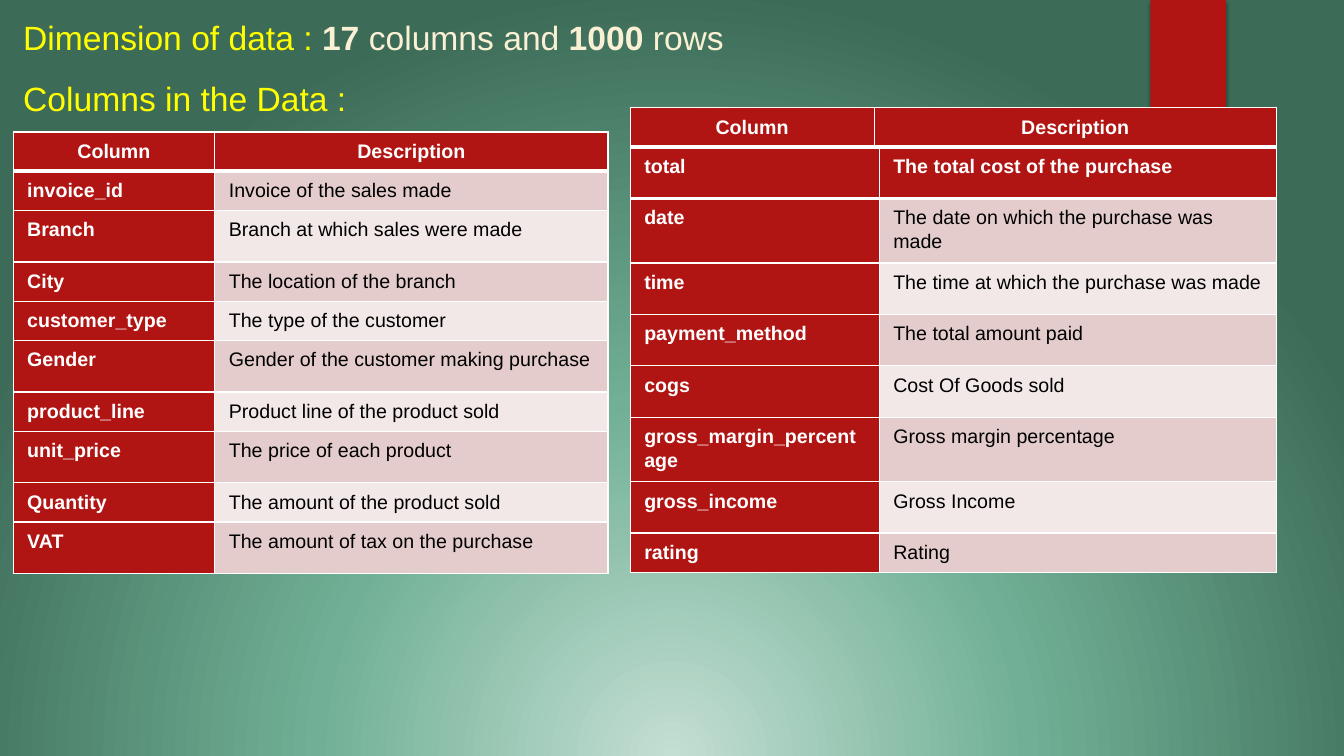
"""Build the slide that lists the dimensions and columns of a sales data set."""
from lxml import etree
from pptx import Presentation
from pptx.dml.color import RGBColor
from pptx.enum.shapes import MSO_SHAPE
from pptx.enum.text import MSO_ANCHOR, MSO_AUTO_SIZE, PP_ALIGN
from pptx.oxml.ns import qn
from pptx.util import Inches, Pt

ELLIPSE, RECTANGLE = MSO_SHAPE.OVAL, MSO_SHAPE.RECTANGLE
TOP, FIXED = MSO_ANCHOR.TOP, MSO_AUTO_SIZE.NONE
LEFT, CENTER = PP_ALIGN.LEFT, PP_ALIGN.CENTER

RED = RGBColor(0xB0, 0x15, 0x13)
WHITE = RGBColor(0xFF, 0xFF, 0xFF)
BLACK = RGBColor(0x00, 0x00, 0x00)
YELLOW = RGBColor(0xFF, 0xFF, 0x00)
CREAM = RGBColor(0xFA, 0xF1, 0xD4)
TEAL = RGBColor(0x50, 0xB9, 0xC1)
MINT = RGBColor(0xC3, 0xDE, 0xD3)
GREEN = RGBColor(0x71, 0xB0, 0x96)
FOREST = RGBColor(0x3C, 0x6B, 0x57)
BANDS = (RGBColor(0xE4, 0xCC, 0xCC), RGBColor(0xF2, 0xE8, 0xE7))

COLUMNS, ROWS = 133.3, 75
SHORT, TALL, WRAPPED = 3.9, 5.1, 6.4
TITLE = [
    [("Dimension of data : ", YELLOW, False), ("17", CREAM, True),
     (" columns and ", CREAM, False), ("1000", CREAM, True),
     (" rows", CREAM, False)],
    [("Columns in the Data :", YELLOW, False)],
]
HEADER = ("Column", "Description", SHORT)
SALE_FIELDS = [
    HEADER,
    ("invoice_id", "Invoice of the sales made", SHORT),
    ("Branch", "Branch at which sales were made", TALL),
    ("City", "The location of the branch", SHORT),
    ("customer_type", "The type of the customer", SHORT),
    ("Gender", "Gender of the customer making purchase", TALL),
    ("product_line", "Product line of the product sold", SHORT),
    ("unit_price", "The price of each product", TALL),
    ("Quantity", "The amount of the product sold", SHORT),
    ("VAT", "The amount of tax on the purchase", TALL),
]
PAYMENT_FIELDS = [
    ("total", "The total cost of the purchase", TALL),
    ("date", "The date on which the purchase was made", WRAPPED),
    ("time", "The time at which the purchase was made", TALL),
    ("payment_method", "The total amount paid", TALL),
    ("cogs", "Cost Of Goods sold", TALL),
    ("gross_margin_percentage", "Gross margin percentage", WRAPPED),
    ("gross_income", "Gross Income", TALL),
    ("rating", "Rating", SHORT),
]


def add_node(parent, tag, **attributes):
    """Append a drawing element and return it."""
    node = etree.SubElement(parent, qn(tag))
    for name, value in attributes.items():
        node.set(name, str(value))
    return node


def add_color(parent, color, opacity=100):
    """Append a colour, with its opacity in percent."""
    node = add_node(parent, "a:srgbClr", val=color)
    if opacity < 100:
        add_node(node, "a:alpha", val=opacity * 1000)


def set_circle_gradient(fill, owner, stops, center_y=50):
    """Give a fill round gradient stops of position, colour and opacity."""
    fill.gradient()
    gradient = owner.find(".//" + qn("a:gradFill"))
    for child in list(gradient):
        gradient.remove(child)
    stop_list = add_node(gradient, "a:gsLst")
    for position, color, opacity in stops:
        add_color(add_node(stop_list, "a:gs", pos=position * 1000), color, opacity)
    circle = add_node(gradient, "a:path", path="circle")
    add_node(circle, "a:fillToRect", l=50000, t=center_y * 1000,
             r=50000, b=(100 - center_y) * 1000)


class SlideBuilder:
    """Hold the font, the grid and the current slide."""

    def __init__(self, deck, font="Arial"):
        """Add a title-only slide to the deck."""
        self.font = font
        self.column = deck.slide_width / COLUMNS
        self.row = deck.slide_height / ROWS
        self.slide = deck.slides.add_slide(deck.slide_layouts[5])

    def place(self, left, top, width, height):
        """Turn grid columns and rows into slide lengths."""
        return (round(left * self.column), round(top * self.row),
                round(width * self.column), round(height * self.row))

    def style(self, span, size, color, bold):
        """Format one run."""
        span.font.name, span.font.size = self.font, Pt(size)
        span.font.color.rgb, span.font.bold = color, bold

    def background(self, stops, center_y):
        """Fill the slide with a round gradient."""
        set_circle_gradient(self.slide.background.fill, self.slide.element, stops, center_y)

    def shape(self, kind, *area):
        """Add a preset shape without line or shadow."""
        box = self.slide.shapes.add_shape(kind, *self.place(*area))
        box.shadow.inherit = False
        box.line.fill.background()
        return box

    def glow(self, stops, *area):
        """Add an ellipse with a faint round gradient."""
        box = self.shape(ELLIPSE, *area)
        set_circle_gradient(box.fill, box.element.spPr, stops)

    def ribbon(self, color, *area):
        """Add a solid band with a soft shadow below it."""
        box = self.shape(RECTANGLE, *area)
        box.fill.solid()
        box.fill.fore_color.rgb = color
        effects = box.element.spPr.find(qn("a:effectLst"))
        shadow = add_node(effects, "a:outerShdw", blurRad=Pt(3), dist=Pt(2),
                          dir=90 * 60000, rotWithShape=0)
        add_color(shadow, BLACK, 45)

    def title(self, lines, *area):
        """Fill the title placeholder with lines of coloured runs."""
        box = self.slide.shapes.title
        box.left, box.top, box.width, box.height = self.place(*area)
        frame = box.text_frame
        frame.word_wrap, frame.auto_size, frame.vertical_anchor = True, FIXED, TOP
        frame.text = "\n".join("" for _ in lines)
        for para, runs in zip(frame.paragraphs, lines):
            para.alignment, para.line_spacing = LEFT, 1.5
            for text, color, bold in runs:
                span = para.add_run()
                span.text = text
                self.style(span, 24, color, bold)

    def cell(self, cell, text, fill, color, bold, alignment):
        """Write and fill one table cell."""
        cell.margin_left = cell.margin_right = Inches(0.14)
        cell.margin_top = cell.margin_bottom = Inches(0.07)
        cell.fill.solid()
        cell.fill.fore_color.rgb = fill
        cell.text_frame.text = text
        para = cell.text_frame.paragraphs[0]
        para.alignment, para.line_spacing, para.space_after = alignment, 1.07, Pt(12)
        self.style(para.runs[0], 14, color, bold)

    def borders(self, cell, top, bottom):
        """Draw white borders round one cell."""
        properties = cell._tc.get_or_add_tcPr()
        sides = (("a:lnL", 1), ("a:lnR", 1), ("a:lnT", top), ("a:lnB", bottom))
        for index, (tag, width) in enumerate(sides):
            line = add_node(properties, tag, w=Pt(width))
            add_color(add_node(line, "a:solidFill"), WHITE)
            properties.insert(index, line)

    def table(self, records, left, top, widths):
        """Add a table with a red first row, a red first column and bands."""
        heights = [height for _, _, height in records]
        area = self.place(left, top, sum(widths), sum(heights))
        table = self.slide.shapes.add_table(len(records), len(widths), *area).table
        table.horz_banding = False
        for column, width in zip(table.columns, widths):
            column.width = round(width * self.column)
        for index, (*texts, height) in enumerate(records):
            table.rows[index].height = round(height * self.row)
            alignment = CENTER if records[index] == HEADER else LEFT
            for position, text in enumerate(texts):
                cell = table.cell(index, position)
                strong = index == 0 or position == 0
                self.cell(cell, text, RED if strong else BANDS[(index - 1) % 2],
                          WHITE if strong else BLACK, strong, alignment)
                self.borders(cell, 3 if index == 1 else 1, 3 if index == 0 else 1)


def main():
    """Build and save the deck."""
    deck = Presentation()
    deck.slide_width, deck.slide_height = Inches(13.33), Inches(7.5)
    page = SlideBuilder(deck)
    page.background([(0, MINT, 100), (46, GREEN, 100), (100, FOREST, 100)], 130)
    page.glow([(0, TEAL, 7), (36, TEAL, 6), (69, TEAL, 0)], 94.1, 18.3, 30.8, 30.8)
    page.ribbon(RED, 114.1, 0, 7.5, 12.5)
    page.title(TITLE, 1.3, -0.8, 94.8, 12.6)
    page.table(SALE_FIELDS, 1.3, 13.1, (20, 39))
    page.table(PAYMENT_FIELDS, 62.5, 14.6, (24.7, 39.4))
    page.table([HEADER], 62.5, 10.7, (24.2, 39.9))
    deck.save("out.pptx")


if __name__ == "__main__":
    main()
